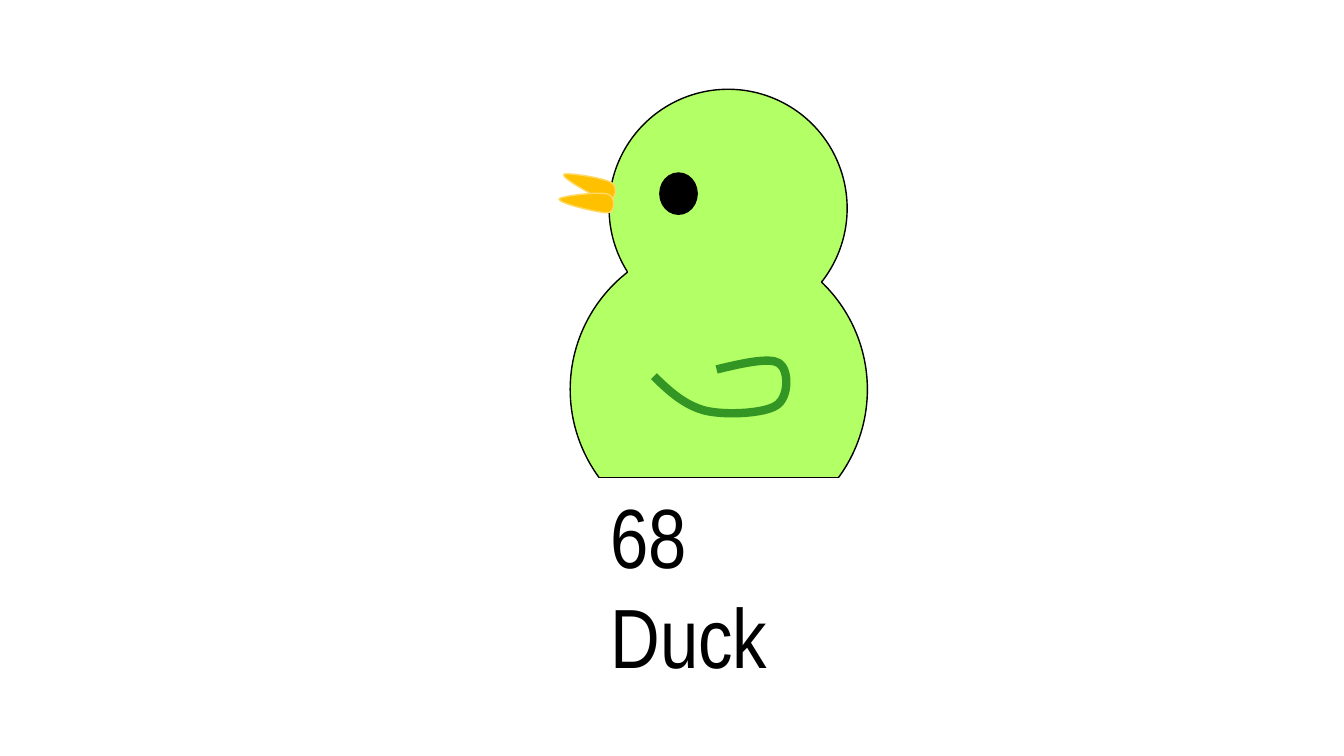
from lxml.etree import SubElement
from pptx import Presentation
from pptx.dml.color import RGBColor
from pptx.enum.shapes import MSO_CONNECTOR, MSO_SHAPE
from pptx.enum.text import MSO_ANCHOR, MSO_AUTO_SIZE, PP_ALIGN
from pptx.oxml.ns import qn
from pptx.util import Cm, Pt

BLACK = RGBColor(0x00, 0x00, 0x00)
WHITE = RGBColor(0xFF, 0xFF, 0xFF)
LIME = RGBColor(0xB2, 0xFF, 0x66)
WING_GREEN = RGBColor(0x33, 0x95, 0x23)
BEAK_ORANGE = RGBColor(0xFF, 0xC0, 0x00)
BEAK_EDGE = RGBColor(0xFF, 0xD9, 0x66)

# Outlines in cm from the corner of their box:
# a start point, then two controls and an end for each curve.
BEAK = [(1.22, 0.21), (1.04, 0.08), (0.02, -0.07), (0, 0),
        (-0.03, 0.11), (0.89, 0.61), (1.09, 0.66),
        (1.29, 0.72), (1.4, 0.31), (1.22, 0.21)]
WING = [(1.58, 0.21), (2.24, 0.05), (2.91, -0.1), (3.15, 0.05),
        (3.41, 0.21), (3.41, 0.92), (3.08, 1.12),
        (2.77, 1.32), (1.81, 1.37), (1.3, 1.25),
        (0.79, 1.12), (0.39, 0.77), (0, 0.38)]


def add_command(outline, tag, points=()):
    command = SubElement(outline, qn(tag))
    for x, y in points:
        SubElement(command, qn("a:pt"), x=str(int(Cm(x))), y=str(int(Cm(y))))


def write_text(tf, text, *, font, size, color, align=PP_ALIGN.LEFT):
    p = tf.paragraphs[0]
    p.alignment = align
    p.line_spacing = 1.0
    r = p.add_run()
    r.text = text
    r.font.name = font
    r.font.size = Pt(size)
    r.font.color.rgb = color


class DuckSlide:
    font = "Arial Narrow"
    size = 60

    def __init__(self, prs):
        self.slide = prs.slides.add_slide(prs.slide_layouts[5])
        self.shapes = self.slide.shapes

    def paint(self, sp, fill, line, width=1):
        sp.shadow.inherit = False
        if fill is None:
            sp.fill.background()
        else:
            sp.fill.solid()
            sp.fill.fore_color.rgb = fill
        sp.line.color.rgb = line
        sp.line.width = Pt(width)

    def preset(self, kind, box, fill, line):
        sp = self.shapes.add_shape(kind, *map(Cm, box))
        self.paint(sp, fill, line)

    def curve(self, nodes, box, fill, line, width=1, rotation=0):
        """Draw Bézier curves in a box, closed only when filled."""
        left, top, w, h = map(Cm, box)
        builder = self.shapes.build_freeform(left, top, scale=1.0)
        builder.add_line_segments([(left + w, top + h)], close=False)
        sp = builder.convert_to_shape()
        outline = sp.element.spPr.find(".//" + qn("a:path"))
        for command in list(outline):
            outline.remove(command)
        add_command(outline, "a:moveTo", nodes[:1])
        for i in range(1, len(nodes), 3):
            add_command(outline, "a:cubicBezTo", nodes[i:i + 3])
        if fill is not None:
            add_command(outline, "a:close")
        sp.rotation = rotation
        self.paint(sp, fill, line, width)

    def line(self, start, end, color):
        sp = self.shapes.add_connector(
            MSO_CONNECTOR.STRAIGHT, *map(Cm, start + end))
        sp.line.color.rgb = color
        sp.line.width = Pt(1)
        SubElement(sp.element.spPr, qn("a:effectLst"))

    def title(self, text, box):
        """Fill the title and bring it in front of what is drawn so far."""
        sp = self.shapes.title
        sp.left, sp.top, sp.width, sp.height = map(Cm, box)
        tf = sp.text_frame
        tf.word_wrap = True
        tf.auto_size = MSO_AUTO_SIZE.SHAPE_TO_FIT_TEXT
        tf.vertical_anchor = MSO_ANCHOR.TOP
        write_text(tf, text, font=self.font, size=self.size, color=BLACK)
        self.shapes.element.append(sp.element)


def main():
    prs = Presentation()
    prs.slide_width, prs.slide_height = Cm(33.87), Cm(19.05)
    duck = DuckSlide(prs)
    oval, rect = MSO_SHAPE.OVAL, MSO_SHAPE.RECTANGLE

    # Head, body and the white cover that flattens the base
    duck.preset(oval, (15.35, 2.25, 6, 6), LIME, BLACK)
    duck.preset(oval, (14.37, 6.07, 7.49, 7.49), LIME, BLACK)
    duck.preset(rect, (13.21, 12.07, 10.95, 2.72), WHITE, WHITE)

    for left, top, rotation in ((14.2, 4.4, 0), (14.15, 4.83, 344.5)):
        duck.curve(BEAK, (left, top, 1.32, 0.66), BEAK_ORANGE, BEAK_EDGE,
                   rotation=rotation)
    duck.preset(oval, (16.63, 4.36, 0.94, 1.04), BLACK, BLACK)
    duck.curve(WING, (16.48, 9.1, 3.33, 1.32), None, WING_GREEN, width=6)
    duck.title("68 Duck", (15.13, 12.07, 6, 2.82))

    # Neck that hides the seam, and the base line
    duck.preset(rect, (15.85, 5.66, 4.83, 2.21), LIME, LIME)
    duck.line((15.11, 12.03), (21.11, 12.03), BLACK)

    prs.save("out.pptx")


if __name__ == "__main__":
    main()
